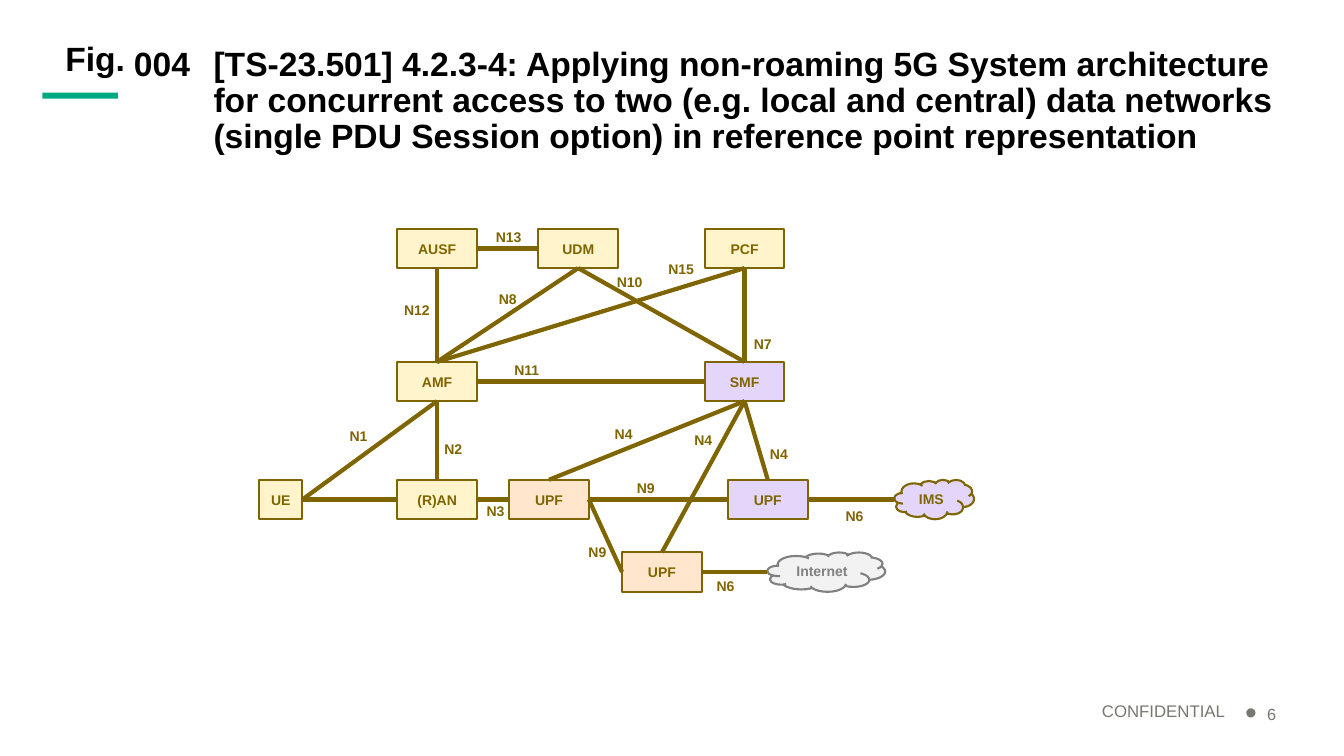
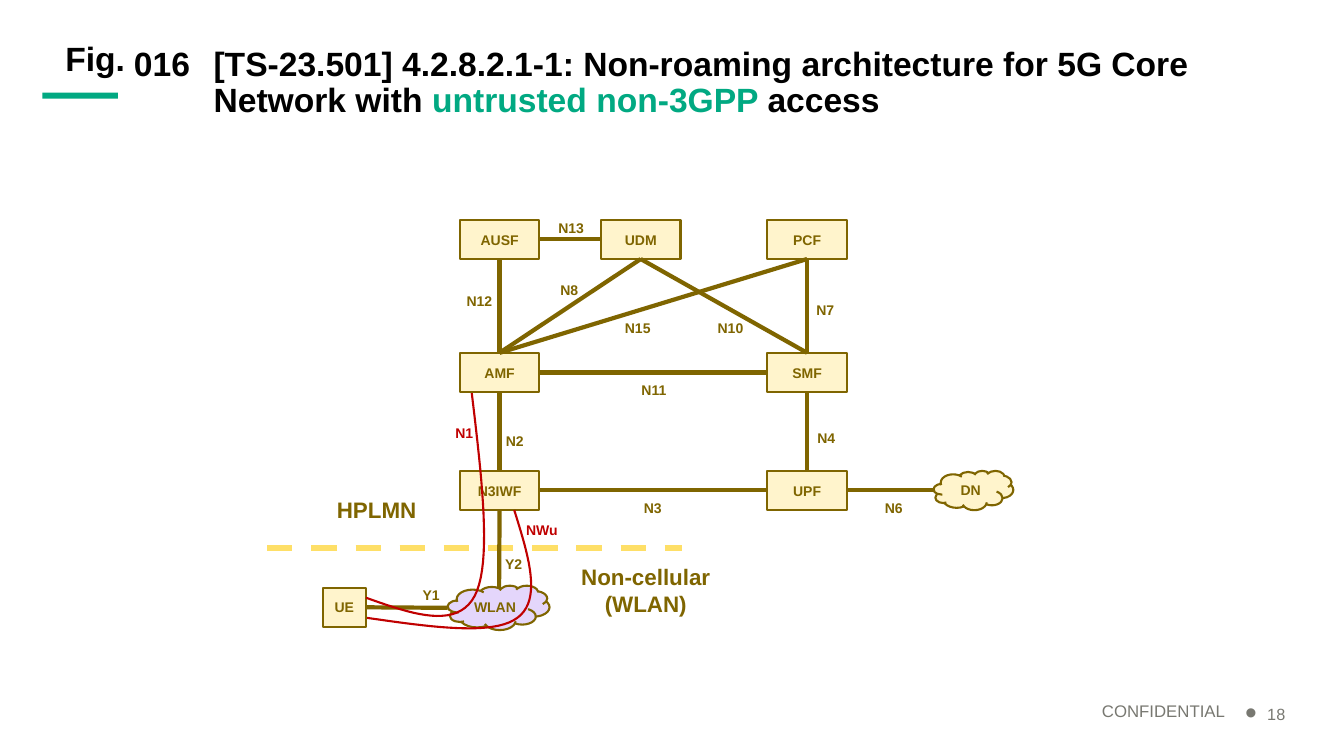
from lxml.etree import SubElement
from pptx import Presentation
from pptx.dml.color import RGBColor
from pptx.enum.dml import MSO_LINE
from pptx.enum.shapes import MSO_CONNECTOR, MSO_SHAPE as SHAPE
from pptx.enum.text import MSO_ANCHOR as ANCHOR, PP_ALIGN as ALIGN
from pptx.oxml.ns import qn
from pptx.util import Inches, Pt

FONT = "Arial"
BLACK, GREEN, FOOTER_GREY = "000000", "01A982", "787871"
BROWN, YELLOW, LILAC, PEACH = "7F6500", "FFF4CC", "E4D6FB", "FFE6CC"
RED, GREY, PALE_GREY, GOLD = "C00000", "808080", "F2F2F2", "FEDF67"

TOP, LEFT, BOTTOM, RIGHT = range(4)
NODE_WIDTH, NODE_HEIGHT, UE_WIDTH = 0.79, 0.39, 0.43
UDM_SHIFT, SMF_SHIFT = 1.4, 3.05          # columns, from the AUSF column
AMF_DROP, ACCESS_DROP = 1.32, 2.49        # rows, from the AUSF row


def rgb(color):
    return RGBColor.from_string(color)


def style_paragraph(para, size, color, bold=True, align=None, spacing=None):
    para.alignment = align
    para.line_spacing = spacing
    font = para.font
    font.name, font.size, font.bold = FONT, Pt(size), bold
    font.color.rgb = rgb(color)


def add_text(page, place, lines, size, color, anchor=ANCHOR.TOP, **style):
    box = page.shapes.add_textbox(*map(Inches, place))
    frame = box.text_frame
    frame.word_wrap = True
    frame.vertical_anchor = anchor
    frame.text = lines
    for para in frame.paragraphs:
        style_paragraph(para, size, color, **style)
    return box


def add_label(page, text, left, top, color=BROWN, size=10, width=NODE_WIDTH):
    add_text(page, (left, top, width, NODE_HEIGHT), text, size, color,
             anchor=ANCHOR.MIDDLE, align=ALIGN.CENTER)


def add_labels(page, labels):
    for label in labels:
        add_label(page, *label)


def add_node(page, text, left, top, fill=YELLOW, width=NODE_WIDTH,
             height=NODE_HEIGHT, kind=SHAPE.RECTANGLE, color=BROWN):
    node = page.shapes.add_shape(kind, *map(Inches, (left, top, width, height)))
    node.shadow.inherit = False
    node.fill.solid()
    node.fill.fore_color.rgb = rgb(fill)
    node.line.color.rgb = rgb(color)
    node.line.width = Pt(1.5)
    frame = node.text_frame
    frame.word_wrap = True
    frame.vertical_anchor = ANCHOR.MIDDLE
    frame.text = text
    style_paragraph(frame.paragraphs[0], 10, color, align=ALIGN.CENTER)
    return node


def add_line(page, start, end, color=BROWN, width=3):
    line = page.shapes.add_connector(MSO_CONNECTOR.STRAIGHT, *start, *end)
    line.line.color.rgb = rgb(color)
    line.line.width = Pt(width)
    SubElement(line._element.spPr, qn("a:effectLst"))
    return line


def side_point(node, side):
    """Return the middle of one side of a node."""
    across = {LEFT: 0, RIGHT: node.width}.get(side, node.width // 2)
    down = {TOP: 0, BOTTOM: node.height}.get(side, node.height // 2)
    return node.left + across, node.top + down


def link(page, start, start_side, end, end_side):
    """Draw a line between two nodes, joined wherever a node is a rectangle."""
    line = add_line(page, side_point(start, start_side), side_point(end, end_side))
    if start.auto_shape_type == SHAPE.RECTANGLE:
        line.begin_connect(start, start_side)
    if end.auto_shape_type == SHAPE.RECTANGLE:
        line.end_connect(end, end_side)


def bezier(start, control_1, control_2, end, steps=20):
    """Return points along a cubic curve, without its start."""
    points = []
    for step in range(1, steps + 1):
        t = step / steps
        weights = ((1 - t) ** 3, 3 * t * (1 - t) ** 2, 3 * t ** 2 * (1 - t), t ** 3)
        points.append(tuple(
            Inches(sum(w * value for w, value in zip(weights, values)))
            for values in zip(start, control_1, control_2, end)))
    return points


def add_tunnel(page, start, *segments):
    """Draw a red curve; each segment is two control points and an end."""
    builder = page.shapes.build_freeform(*map(Inches, start))
    for segment in segments:
        builder.add_line_segments(bezier(start, *segment), close=False)
        start = segment[-1]
    curve = builder.convert_to_shape()
    curve.shadow.inherit = False
    curve.fill.background()
    curve.line.color.rgb = rgb(RED)
    curve.line.width = Pt(1.5)


def add_page_number(page, number):
    box = page.shapes.add_textbox(*map(Inches, (12.25, 6.89, 0.75, 0.4)))
    frame = box.text_frame
    frame.word_wrap = True
    frame.vertical_anchor = ANCHOR.MIDDLE
    para = frame.paragraphs[0]
    span = para.add_run()
    span.text = number
    span._r.get_or_add_rPr().set("baseline", "10000")
    props = para._p.get_or_add_pPr()
    props.set("marL", str(Inches(0.22)))
    props.set("indent", str(Inches(-0.22)))
    SubElement(props, qn("a:buSzPct"), val="120000")
    SubElement(props, qn("a:buFont"), typeface=FONT)
    SubElement(props, qn("a:buChar"), char="•")
    style_paragraph(para, 20, FOOTER_GREY, bold=False, spacing=0.9)


def add_page(deck, figure, title, number):
    """Add a page with its heading and footer; title is (text, colour) spans."""
    page = deck.slides.add_slide(deck.slide_layouts[6])
    bar = page.shapes.add_shape(SHAPE.RECTANGLE,
                                *map(Inches, (0.42, 0.92, 0.75, 0.06)))
    bar.shadow.inherit = False
    bar.fill.solid()
    bar.fill.fore_color.rgb = rgb(GREEN)
    bar.line.fill.background()

    prefix = add_text(page, (0.45, 0.42, 0.79, 0.47), "Fig.", 24, BLACK,
                      align=ALIGN.RIGHT, spacing=0.9).text_frame
    prefix.margin_left = prefix.margin_right = 0
    prefix.margin_top = prefix.margin_bottom = 0
    add_text(page, (1.23, 0.42, 0.79, 0.47), figure, 24, BLACK, spacing=0.9)

    heading = add_text(page, (2.02, 0.42, 10.9, 0.47), "", 24, BLACK, spacing=0.9)
    for text, color in title:
        span = heading.text_frame.paragraphs[0].add_run()
        span.text = text
        span.font.color.rgb = rgb(color)

    add_text(page, (7.75, 6.93, 4.5, 0.24), "CONFIDENTIAL", 12, FOOTER_GREY,
             bold=False, align=ALIGN.RIGHT, spacing=0.9)
    add_page_number(page, number)
    return page


def add_core(page, left, top, smf_fill=YELLOW):
    """Draw the control functions and their links; return AMF and SMF."""
    ausf = add_node(page, "AUSF", left, top)
    udm = add_node(page, "UDM", left + UDM_SHIFT, top)
    pcf = add_node(page, "PCF", left + SMF_SHIFT, top)
    amf = add_node(page, "AMF", left, top + AMF_DROP)
    smf = add_node(page, "SMF", left + SMF_SHIFT, top + AMF_DROP, smf_fill)
    link(page, ausf, RIGHT, udm, LEFT)
    link(page, amf, RIGHT, smf, LEFT)
    for upper, lower in ((ausf, amf), (udm, amf), (pcf, amf), (udm, smf), (pcf, smf)):
        link(page, upper, BOTTOM, lower, TOP)
    return amf, smf


def add_two_networks_page(deck):
    page = add_page(deck, "004", [(
        "[TS-23.501] 4.2.3-4: Applying non-roaming 5G System architecture for "
        "concurrent access to two (e.g. local and central) data networks "
        "(single PDU Session option) in reference point representation", BLACK)], "6")
    left, top = 3.94, 2.27
    access_top = top + ACCESS_DROP
    amf, smf = add_core(page, left, top, LILAC)
    ue = add_node(page, "UE", 2.57, access_top, width=UE_WIDTH)
    ran = add_node(page, "(R)AN", left, access_top)
    first_upf = add_node(page, "UPF", 5.05, access_top, PEACH)
    central_upf = add_node(page, "UPF", 7.22, access_top, LILAC)
    local_upf = add_node(page, "UPF", 6.17, 5.48, PEACH)
    ims = add_node(page, "IMS", 8.87, access_top, LILAC, kind=SHAPE.CLOUD)
    internet = add_node(page, "Internet", 7.61, 5.48, PALE_GREY, width=1.17,
                        kind=SHAPE.CLOUD, color=GREY)

    for start, end in ((ue, ran), (ran, first_upf), (first_upf, central_upf),
                       (central_upf, ims), (first_upf, local_upf),
                       (local_upf, internet)):
        link(page, start, RIGHT, end, LEFT)
    link(page, ue, RIGHT, amf, BOTTOM)
    link(page, amf, BOTTOM, ran, TOP)
    for upf in (first_upf, central_upf, local_upf):
        link(page, smf, BOTTOM, upf, TOP)

    add_labels(page, [
        ("N13", 4.65, 2.16), ("N12", 3.74, 2.88), ("N8", 4.64, 2.77),
        ("N10", 5.85, 2.6), ("N15", 6.36, 2.47), ("N7", 7.17, 3.22),
        ("N11", 4.83, 3.47), ("N1", 3.16, 4.13), ("N2", 4.1, 4.26),
        ("N4", 5.79, 4.11), ("N4", 6.58, 4.17), ("N4", 7.33, 4.31),
        ("N3", 4.52, 4.87), ("N9", 6.01, 4.65), ("N9", 5.53, 5.28),
        ("N6", 8.08, 4.92), ("N6", 6.8, 5.62),
    ])


def add_untrusted_access_page(deck):
    page = add_page(deck, "016", [
        ("[TS-23.501] 4.2.8.2.1-1: Non-roaming architecture for 5G Core "
         "Network with ", BLACK),
        ("untrusted non-3GPP ", GREEN),
        ("access", BLACK)], "18")
    border = add_line(page, (Inches(2.65), Inches(5.44)),
                      (Inches(6.76), Inches(5.44)), GOLD, 4.5)
    border.line.dash_style = MSO_LINE.DASH

    left, top = 4.56, 2.18
    access_top = top + ACCESS_DROP
    amf, smf = add_core(page, left, top)
    n3iwf = add_node(page, "N3IWF", left, access_top)
    upf = add_node(page, "UPF", left + SMF_SHIFT, access_top)
    network = add_node(page, "DN", 9.26, access_top, kind=SHAPE.CLOUD)
    ue = add_node(page, "UE", 3.2, 5.83, width=UE_WIDTH)
    wlan = add_node(page, "WLAN", 4.44, 5.81, LILAC, 1.01, 0.44, SHAPE.CLOUD)

    for start, end in ((n3iwf, upf), (upf, network), (ue, wlan)):
        link(page, start, RIGHT, end, LEFT)
    link(page, amf, BOTTOM, n3iwf, TOP)
    link(page, smf, BOTTOM, upf, TOP)
    wlan_line = add_line(page, side_point(n3iwf, BOTTOM), (Inches(4.95), Inches(5.84)))
    wlan_line.begin_connect(n3iwf, BOTTOM)

    add_tunnel(page, (3.63, 5.93),
               ((4.08, 6.09), (4.53, 6.25), (4.71, 5.91)),
               ((4.88, 5.58), (4.78, 4.74), (4.68, 3.9)))
    add_tunnel(page, (3.64, 6.13),
               ((4.27, 6.22), (4.89, 6.31), (5.13, 6.13)),
               ((5.38, 5.95), (5.24, 5.51), (5.1, 5.06)))

    add_labels(page, [
        ("N13", 5.27, 2.07), ("N12", 4.36, 2.79), ("N8", 5.25, 2.68),
        ("N10", 6.85, 3.06), ("N15", 5.93, 3.06), ("N7", 7.79, 2.88),
        ("N11", 6.09, 3.67), ("N2", 4.71, 4.18), ("N4", 7.8, 4.15),
        ("N3", 6.08, 4.84), ("N6", 8.47, 4.84), ("Y1", 3.88, 5.71),
        ("Y2", 4.7, 5.4), ("N1", 4.21, 4.1, RED), ("NWu", 4.98, 5.06, RED),
        ("Non-cellular\n(WLAN)", 5.61, 5.66, BROWN, 16, 1.59),
        ("HPLMN", 3.09, 4.86, BROWN, 16, 1.29),
    ])


def main():
    deck = Presentation()
    deck.slide_width, deck.slide_height = Inches(13.33), Inches(7.5)
    add_two_networks_page(deck)
    add_untrusted_access_page(deck)
    deck.save("out.pptx")


if __name__ == "__main__":
    main()
